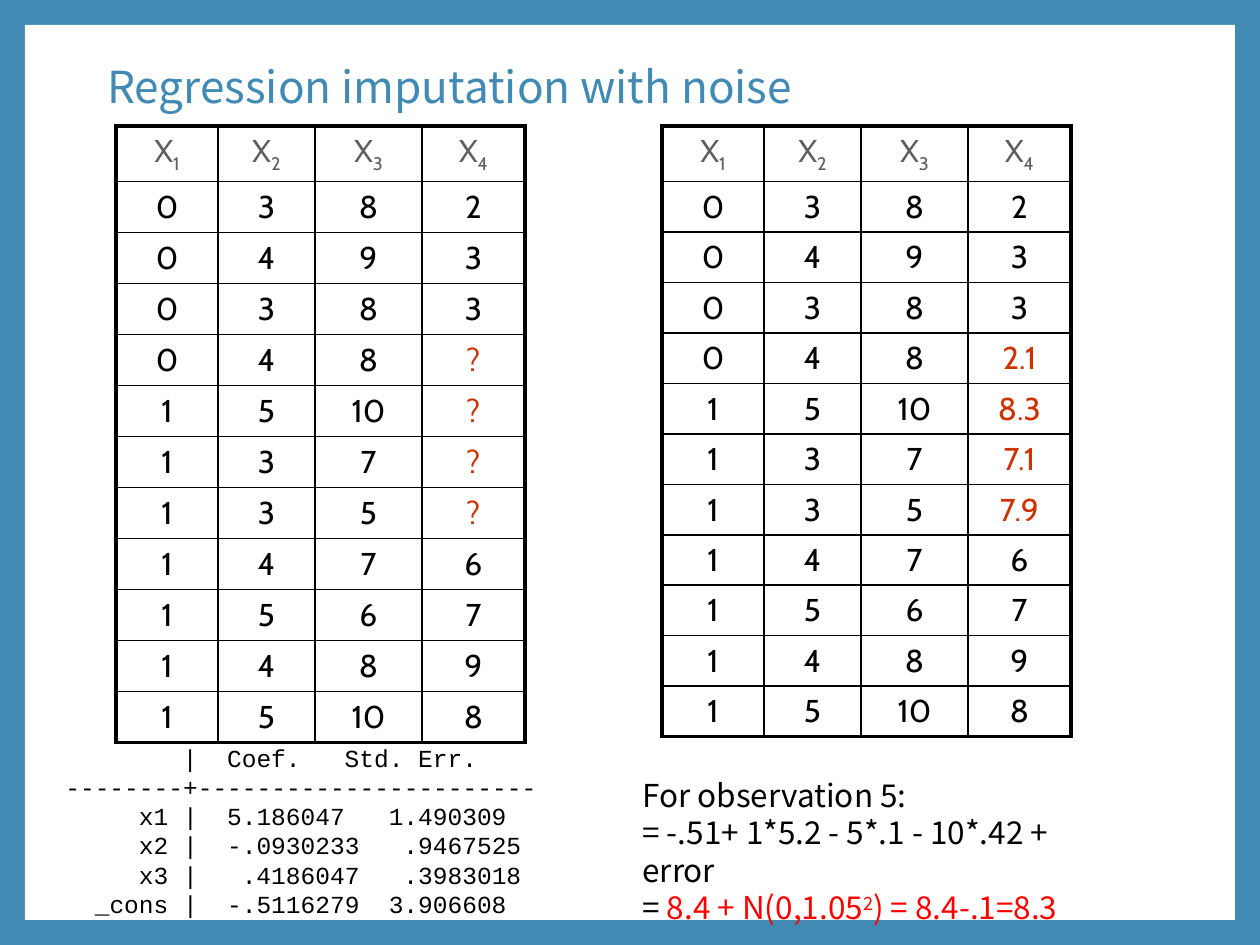
import pptx
import pptx.util
import pptx.dml.color
import pptx.enum.shapes
import pptx.enum.text
import pptx.oxml.ns
import lxml.etree

PX = 914400 // 126
BLUE = pptx.dml.color.RGBColor(0x41, 0x8A, 0xB3)
WHITE = pptx.dml.color.RGBColor(0xFF, 0xFF, 0xFF)
BLACK = pptx.dml.color.RGBColor(0, 0, 0)
GRAY = pptx.dml.color.RGBColor(0x5E, 0x5E, 0x5E)
RUST = pptx.dml.color.RGBColor(0xCC, 0x33, 0x00)
RED = pptx.dml.color.RGBColor(0xFF, 0, 0)
MIDDLE = pptx.enum.text.MSO_ANCHOR.MIDDLE
CENTER = pptx.enum.text.PP_ALIGN.CENTER
qn = pptx.oxml.ns.qn


def write_text(frame, paragraphs, font, size, color, align=None, spacing=None):
    """Each paragraph is a list of runs: (text, optional color, optional baseline)."""
    for index, runs in enumerate(paragraphs):
        paragraph = frame.add_paragraph() if index else frame.paragraphs[0]
        paragraph.alignment = align
        paragraph.line_spacing = spacing
        for text, run_color, baseline in runs:
            run = paragraph.add_run()
            run.text = text
            run.font.name = font
            run.font.size = pptx.util.Pt(size)
            run.font.color.rgb = run_color or color
            if baseline:
                run.font._element.set("baseline", str(baseline * 1000))


def add_box(left, top, width, height, margin_top):
    box = slide.shapes.add_textbox(left * PX, top * PX, width * PX, height * PX)
    box.text_frame.word_wrap = True
    box.text_frame.margin_top = margin_top * PX
    return box.text_frame


presentation = pptx.Presentation()
presentation.slide_width = 1260 * PX
presentation.slide_height = 945 * PX
slide = presentation.slides.add_slide(presentation.slide_layouts[6])

# Blue frame around a white panel
slide.background.fill.solid()
slide.background.fill.fore_color.rgb = BLUE
panel = slide.shapes.add_shape(
    pptx.enum.shapes.MSO_SHAPE.RECTANGLE, 25 * PX, 25 * PX, 1210 * PX, 895 * PX)
panel.shadow.inherit = False
panel.fill.solid()
panel.fill.fore_color.rgb = WHITE
panel.line.fill.background()

# Title
title = add_box(95, 63, 1071, 53, 0)
title.margin_bottom = 0
title.vertical_anchor = MIDDLE
write_text(title, [[("Regression imputation with noise", None, 0)]],
           font="Noto Sans CJK SC", size=25.2, color=BLUE, spacing=0.9)

# Data tables: the same observations, before and after imputation
OBSERVATIONS = [
    (0, 3, 8, 2), (0, 4, 9, 3), (0, 3, 8, 3), (0, 4, 8, None),
    (1, 5, 10, None), (1, 3, 7, None), (1, 3, 5, None), (1, 4, 7, 6),
    (1, 5, 6, 7), (1, 4, 8, 9), (1, 5, 10, 8),
]
COLUMN_WIDTHS = [102, 97, 107, 103]
HEADER_HEIGHT = 55
row_count, column_count = len(OBSERVATIONS) + 1, len(COLUMN_WIDTHS)

for left, row_height, imputed in [
    (116, 51, ["?", "?", "?", "?"]),
    (662, 50, ["2.1", "8.3", "7.1", "7.9"]),
]:
    height = HEADER_HEIGHT + row_height * len(OBSERVATIONS)
    table = slide.shapes.add_table(
        row_count, column_count, left * PX, 126 * PX,
        sum(COLUMN_WIDTHS) * PX, height * PX).table
    table.first_row = table.horz_banding = False
    for column, width in zip(table.columns, COLUMN_WIDTHS):
        column.width = width * PX
    for index, row in enumerate(table.rows):
        row.height = (row_height if index else HEADER_HEIGHT) * PX

    rows = [[[("X", GRAY, 0), (str(n + 1), GRAY, -25)] for n in range(column_count)]]
    fillers = iter(imputed)
    for observation in OBSERVATIONS:
        rows.append([[(next(fillers), RUST, 0)] if value is None
                     else [(str(value), BLACK, 0)] for value in observation])

    for r, row in enumerate(rows):
        for c, runs in enumerate(row):
            cell = table.cell(r, c)
            cell.vertical_anchor = MIDDLE
            write_text(cell.text_frame, [runs], font="Cabin", size=18,
                       color=BLACK, align=CENTER)
            # Heavy rule on the outside, thin rules inside
            properties = cell._tc.get_or_add_tcPr()
            for side, outer in [("lnL", c == 0), ("lnR", c == column_count - 1),
                                ("lnT", r == 0), ("lnB", r == row_count - 1)]:
                line = lxml.etree.SubElement(properties, qn("a:" + side))
                line.set("w", str(pptx.util.Pt(2.25 if outer else 1)))
                solid = lxml.etree.SubElement(line, qn("a:solidFill"))
                lxml.etree.SubElement(solid, qn("a:srgbClr")).set("val", str(BLACK))
            cell.fill.background()

# Regression output: (character column, text) pairs set on tab stops
CHARACTER_WIDTH = 8.4
OUTPUT = [
    [(8, "|"), (11, "Coef."), (19, "Std. Err.")],
    [(0, "--------+-----------------------")],
    [(5, "x1 |"), (11, "5.186047"), (22, "1.490309")],
    [(5, "x2 |"), (11, "-.0930233"), (23, ".9467525")],
    [(5, "x3 |"), (12, ".4186047"), (23, ".3983018")],
    [(2, "_cons |"), (11, "-.5116279"), (22, "3.906608")],
]
output = add_box(53, 735, 577, 189, 8)
write_text(output,
           [[("".join("\t" * (position > 0) + text for position, text in entries), None, 0)]
            for entries in OUTPUT],
           font="Courier New", size=14, color=BLACK, spacing=pptx.util.Pt(16.7))
for paragraph, entries in zip(output.paragraphs, OUTPUT):
    tabs = lxml.etree.SubElement(paragraph._p.get_or_add_pPr(), qn("a:tabLst"))
    for position, text in entries:
        if position:
            tab = lxml.etree.SubElement(tabs, qn("a:tab"))
            tab.set("pos", str(pptx.util.Pt(position * CHARACTER_WIDTH)))
            tab.set("algn", "l")

# Worked example
example = add_box(630, 766, 486, 126, 10)
write_text(example, [
    [("For observation 5:", None, 0)],
    [("= -.51+ 1*5.2 - 5*.1 - 10*.42 + error", None, 0)],
    [("= ", None, 0), ("8.4 + N(0,1.05", RED, 0), ("2", RED, 30),
     (") = 8.4-.1=8.3", RED, 0)],
], font="Noto Sans CJK SC", size=18, color=BLACK, spacing=pptx.util.Pt(21.4))

presentation.save("out.pptx")
